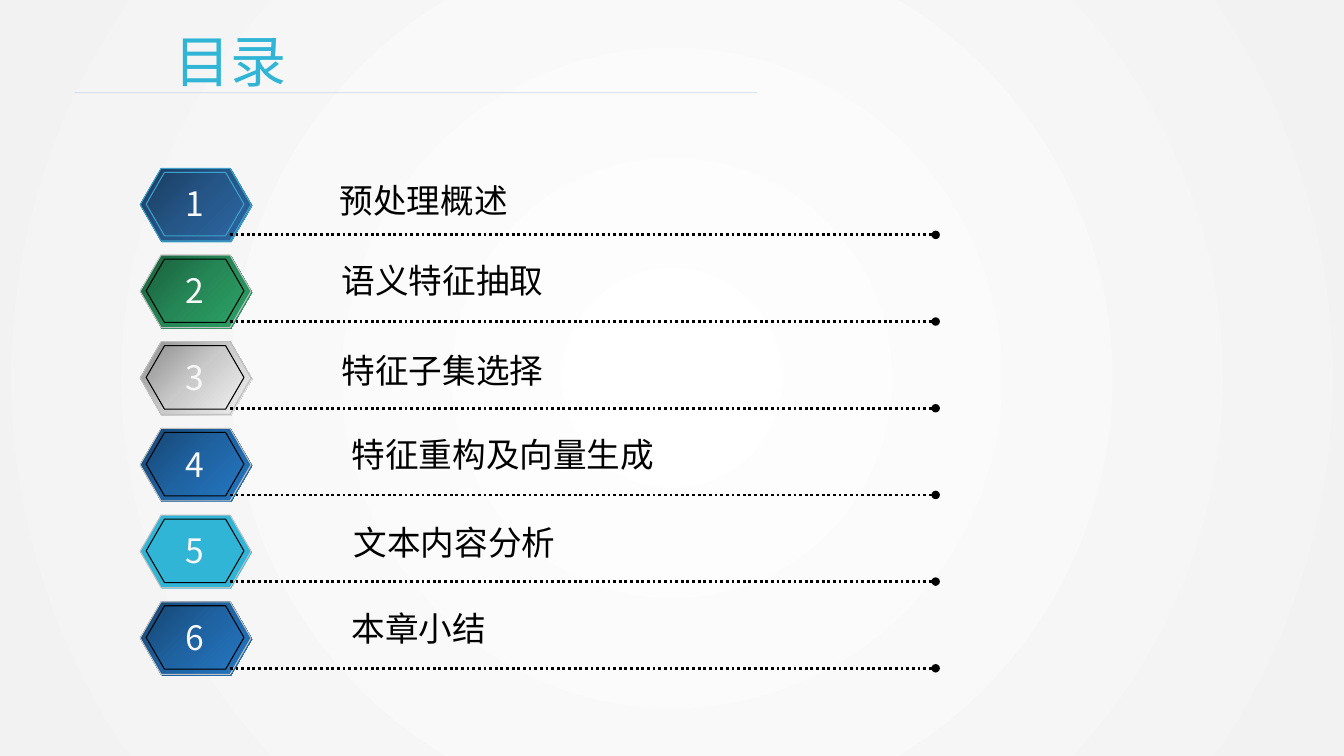
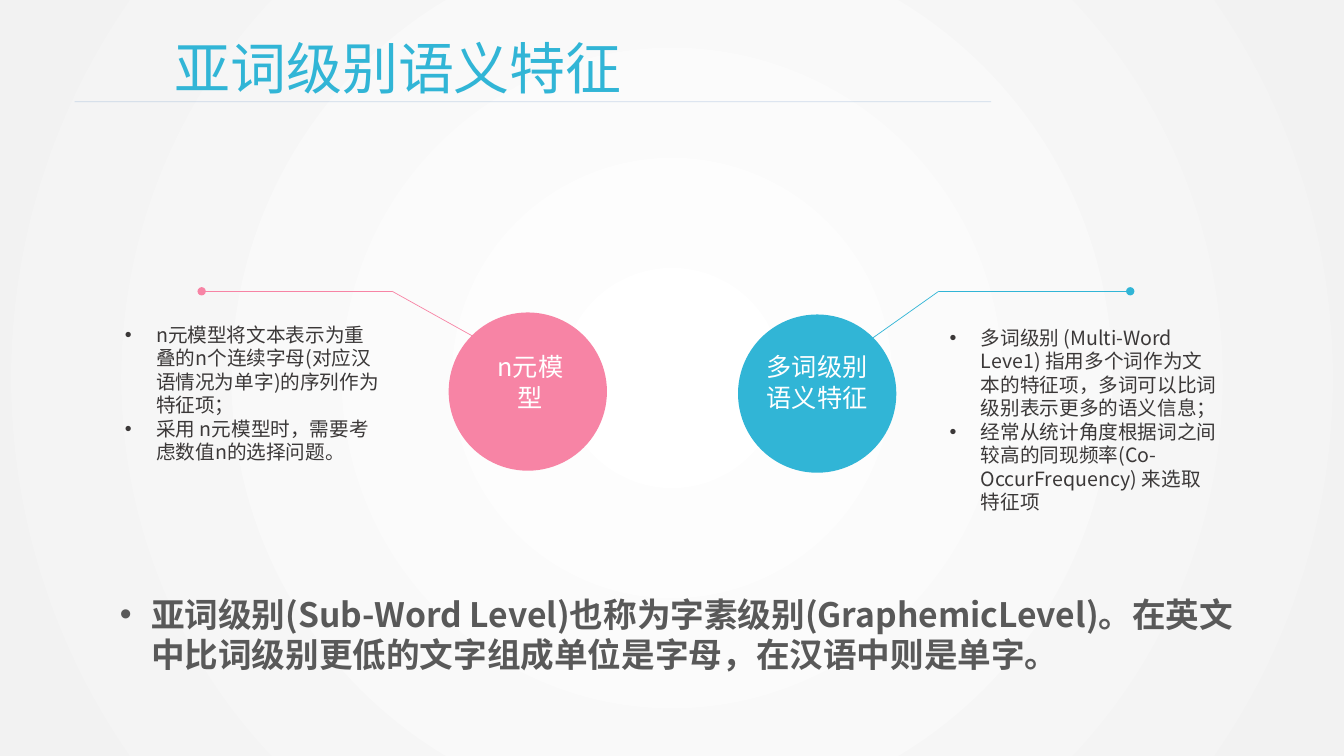
from dataclasses import dataclass

from lxml import etree
from pptx import Presentation
from pptx import util as u
from pptx.dml.color import RGBColor
from pptx.enum import dml, shapes, text
from pptx.oxml import ns


@dataclass(frozen=True)
class Theme:
    """Colours, font and type sizes of the deck."""

    font: str = "Noto Sans CJK SC"
    accent: str = "31B5D6"
    pink: str = "F784A5"
    rule: str = "4A7EBB"
    ink: str = "000000"
    body: str = "3B3838"
    strong: str = "595959"
    number: str = "F8F8F8"
    white: str = "FFFFFF"
    edge: str = "C0C0C0"
    bright_edge: str = "3DA2CB"
    backdrop: tuple = ("FFFFFF", "F2F2F2")
    navy: tuple = ("1A3C5F", "255687", "2B66A1")
    green: tuple = ("1A5F3C", "258756", "2BA166")
    grey: tuple = ("8F8E8E", "CBCACA", "F1F0F0")
    blue: tuple = ("164672", "1F63A2", "2476C0")
    title_size: int = 40
    item_size: int = 24
    circle_size: int = 18
    note_size: int = 14


T = Theme()


def child(parent, tag, **attrs):
    """Append a DrawingML element and return it."""
    return etree.SubElement(parent, ns.qn(tag), attrs)


def apply(target, values):
    """Set each named attribute on the target."""
    for name, value in values.items():
        setattr(target, name, value)


def gradient(fill, owner, colors):
    """Give the owner a gradient with evenly spaced colours and return its element."""
    fill.gradient()
    grad = next(owner.iter(ns.qn("a:gradFill")))
    for part in list(grad):
        grad.remove(part)
    stops = child(grad, "a:gsLst")
    for i, color in enumerate(colors):
        stop = child(stops, "a:gs", pos=str(100000 * i // (len(colors) - 1)))
        child(stop, "a:srgbClr", val=color)
    return grad


class Deck:
    """Holds the presentation, its style and the current slide."""

    def __init__(self):
        """Set the slide size and the shared backdrop."""
        self.prs = Presentation()
        apply(self.prs, {"slide_width": u.Inches(13.33), "slide_height": u.Inches(7.5)})
        master = self.prs.slide_master
        grad = gradient(master.background.fill, master.element, T.backdrop)
        circle = child(grad, "a:path", path="circle")
        child(circle, "a:fillToRect", l="50000", t="50000", r="50000", b="50000")

    def slide(self, title, top, rule_y, rule_end):
        """Start a slide with its title and thin rule."""
        self.s = self.prs.slides.add_slide(self.prs.slide_layouts[6])
        self.line((0.74, rule_y), (rule_end, rule_y), T.rule, alpha=25)
        self.text((1.63, top, 8.5, 0.77), [title], T.title_size, T.accent)

    def text(self, box, lines, size, color, bold=None, align=None, bullet=False):
        """Add a text box with one paragraph per line."""
        tf = self.s.shapes.add_textbox(*map(u.Inches, box)).text_frame
        apply(tf, {"word_wrap": True, "auto_size": text.MSO_AUTO_SIZE.SHAPE_TO_FIT_TEXT})
        for i, line in enumerate(lines):
            p = tf.paragraphs[0] if i == 0 else tf.add_paragraph()
            p.alignment = align
            if bullet:
                pPr = p._p.get_or_add_pPr()
                indent = u.Inches(0.31)
                pPr.set("marL", str(indent))
                pPr.set("indent", str(-indent))
                child(pPr, "a:buFont", typeface="Arial")
                child(pPr, "a:buChar", char="•")
            r = p.add_run()
            r.text = line
            apply(r.font, {"size": u.Pt(size), "bold": bold, "name": T.font})
            r.font.color.rgb = RGBColor.from_string(color)
            child(r._r.rPr, "a:ea", typeface=T.font)

    def line(self, start, end, color, width=0.5, dash=None, dot=False, alpha=None):
        """Add a straight line, optionally dotted, ended by a dot or translucent."""
        sp = self.s.shapes.add_connector(
            shapes.MSO_CONNECTOR.STRAIGHT, *map(u.Inches, (*start, *end)))
        sp.line.color.rgb = RGBColor.from_string(color)
        apply(sp.line, {"width": u.Pt(width), "dash_style": dash})
        spPr = sp._element.spPr
        if alpha:
            child(next(spPr.iter(ns.qn("a:srgbClr"))), "a:alpha", val=str(alpha * 1000))
        if dot:
            child(spPr.find(ns.qn("a:ln")), "a:tailEnd", type="oval")
        child(spPr, "a:effectLst")

    def shape(self, kind, box, fill, edge=None, parent=None):
        """Add a preset shape with a plain or gradient fill."""
        sp = (parent or self.s).shapes.add_shape(kind, *map(u.Inches, box))
        sp.shadow.inherit = False
        if isinstance(fill, tuple):
            child(gradient(sp.fill, sp.element, fill), "a:lin", ang="2700000", scaled="0")
        else:
            sp.fill.solid()
            sp.fill.fore_color.rgb = RGBColor.from_string(fill)
        if edge:
            sp.line.color.rgb = RGBColor.from_string(edge)
            sp.line.width = u.Pt(0.75)
        else:
            sp.line.fill.background()
        return sp

    def badge(self, number, y, fill, edges):
        """Add a numbered badge of three stacked hexagons."""
        group = self.s.shapes.add_group_shape()
        boxes = ((1.4, y + 0.01, 1.1, 0.72), (1.39, y, 1.1, 0.72),
                 (1.45, y + 0.04, 0.97, 0.63))
        for box, edge in zip(boxes, edges):
            sp = self.shape(shapes.MSO_SHAPE.HEXAGON, box, fill, edge, group)
            sp.adjustments[0] = 0.289
        self.text((1.73, y + 0.1, 0.4, 0.5), [str(number)], T.item_size, T.number,
                  align=text.PP_ALIGN.CENTER)

    def callout(self, start, bend, end, color):
        """Add a bent leader from a circle to a dotted end."""
        self.line(bend, end, color, dot=True)
        self.line(bend, start, color)


def contents(deck):
    """Build the contents slide."""
    deck.slide("目录", 0.21, 0.92, 7.51)
    plain = (None, T.edge, T.ink)
    items = [
        ("预处理概述", 3.27, 1.74, T.navy, (T.bright_edge,) * 3),
        ("语义特征抽取", 3.29, 2.53, T.green, plain),
        ("特征子集选择", 3.29, 3.42, T.grey, plain),
        ("特征重构及向量生成", 3.39, 4.26, T.blue, plain),
        ("文本内容分析", 3.41, 5.13, T.accent, plain),
        ("本章小结", 3.39, 5.98, T.blue, plain),
    ]
    for i, (label, x, label_y, fill, edges) in enumerate(items):
        y = 1.67 + 0.86 * i
        deck.badge(i + 1, y, fill, edges)
        deck.line((2.28, y + 0.66), (9.28, y + 0.66), T.ink, 2,
                  dml.MSO_LINE.ROUND_DOT, dot=True)
        deck.text((x, label_y, 4, 0.5), [label], T.item_size, T.ink)


def subword(deck):
    """Build the sub-word features slide."""
    deck.slide("亚词级别语义特征", 0.28, 1.01, 9.83)
    circles = [
        (4.45, 3.1, T.pink, (4.72, 3.44, 1.08, 0.71), ["n元模型"]),
        (7.32, 3.12, T.accent, (7.45, 3.44, 1.31, 0.71), ["多词级别", "语义特征"]),
    ]
    for x, y, color, box, lines in circles:
        deck.shape(shapes.MSO_SHAPE.FLOWCHART_CONNECTOR, (x, y, 1.57, 1.57), color)
        deck.text(box, lines, T.circle_size, T.white, align=text.PP_ALIGN.CENTER)
    deck.callout((4.68, 3.33), (3.89, 2.89), (2, 2.89), T.pink)
    deck.callout((8.66, 3.35), (9.31, 2.89), (11.21, 2.89), T.accent)
    notes = [
        ((1.14, 3.15, 2.77, 1.51), [
            "n元模型将文本表示为重叠的n个连续字母(对应汉语情况为单字)的序列作为特征项；",
            "采用 n元模型时，需要考虑数值n的选择问题。"]),
        ((9.32, 3.18, 2.86, 2.22), [
            "多词级别 (Multi-Word Leve1) 指用多个词作为文本的特征项，"
            "多词可以比词级别表示更多的语义信息；",
            "经常从统计角度根据词之间较高的同现频率(Co-OccurFrequency) 来选取特征项"]),
    ]
    for box, lines in notes:
        deck.text(box, lines, T.note_size, T.body, bullet=True)
    deck.text((1.09, 5.84, 11.28, 0.91), [
        "亚词级别(Sub-Word Level)也称为字素级别(GraphemicLevel)。"
        "在英文中比词级别更低的文字组成单位是字母，在汉语中则是单字。",
    ], T.item_size, T.strong, bold=True, bullet=True)


def main():
    """Build and save the deck."""
    deck = Deck()
    contents(deck)
    subword(deck)
    deck.prs.save("out.pptx")


if __name__ == "__main__":
    main()
